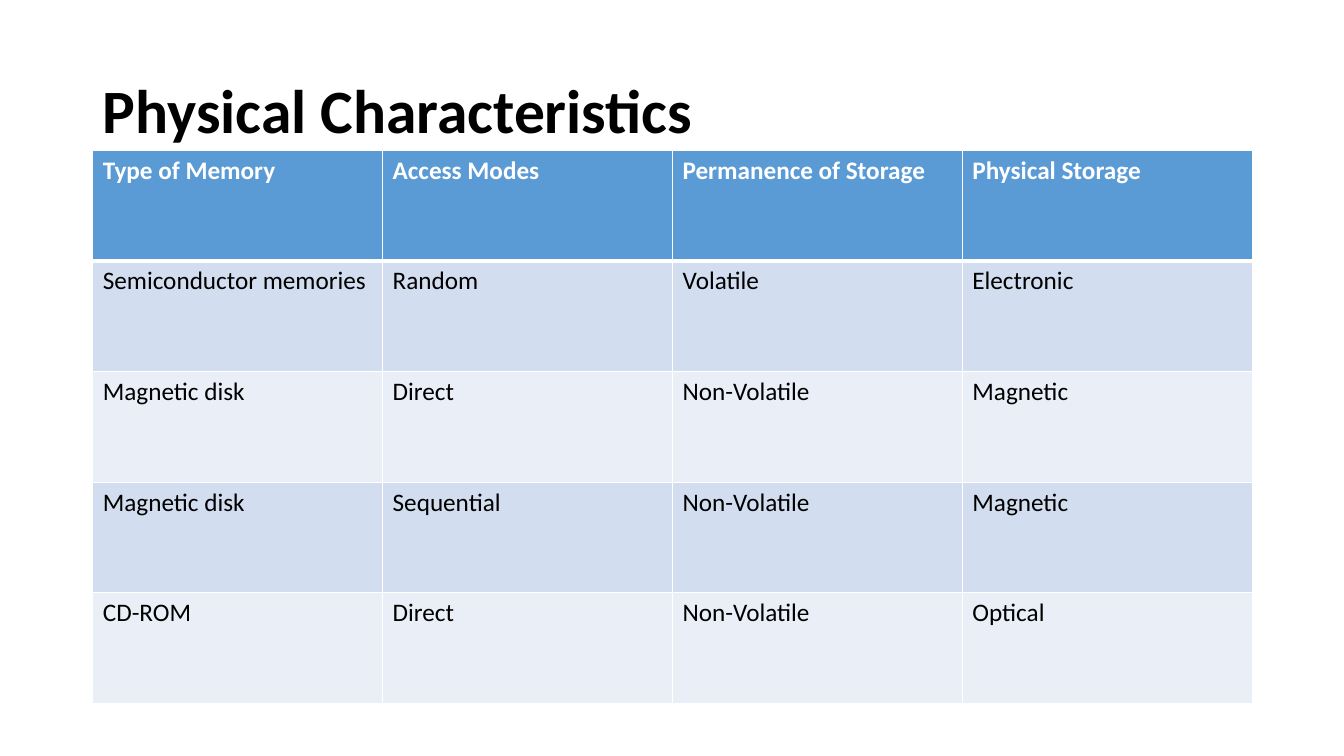
from dataclasses import dataclass

from lxml import etree
from pptx import Presentation
from pptx.dml.color import RGBColor
from pptx.enum.text import MSO_ANCHOR
from pptx.oxml.ns import qn
from pptx.slide import Slide
from pptx.table import _Cell
from pptx.text.text import _Paragraph
from pptx.util import Inches, Pt

MIDDLE = MSO_ANCHOR.MIDDLE


@dataclass(frozen=True)
class Theme:
    font: str = "Calibri"
    title_size: int = 44
    table_size: int = 18
    text: str = "000000"
    light: str = "FFFFFF"
    header_fill: str = "5B9BD5"
    band_fills: tuple[str, str] = ("D2DEEF", "EAEFF7")
    border: float = 1
    header_border: float = 3


@dataclass(frozen=True)
class Memory:
    kind: str
    access: str
    permanence: str
    storage: str

    def values(self) -> tuple[str, ...]:
        return self.kind, self.access, self.permanence, self.storage


THEME = Theme()
HEADER = Memory("Type of Memory", "Access Modes", "Permanence of Storage", "Physical Storage")
MEMORIES = [
    Memory("Semiconductor memories", "Random", "Volatile", "Electronic"),
    Memory("Magnetic disk", "Direct", "Non-Volatile", "Magnetic"),
    Memory("Magnetic disk", "Sequential", "Non-Volatile", "Magnetic"),
    Memory("CD-ROM", "Direct", "Non-Volatile", "Optical"),
]


def write(para: _Paragraph, text: str, size: int, color: str, bold: bool) -> None:
    span = para.add_run()
    span.text = text
    for name, value in {"name": THEME.font, "size": Pt(size), "bold": bold}.items():
        setattr(span.font, name, value)
    span.font.color.rgb = RGBColor.from_string(color)


def set_borders(cell: _Cell, top: float, bottom: float) -> None:
    """Draw the four cell edges; widths are in points."""
    properties = cell._tc.get_or_add_tcPr()
    widths = {"a:lnL": THEME.border, "a:lnR": THEME.border, "a:lnT": top, "a:lnB": bottom}
    for tag, width in widths.items():
        line = etree.SubElement(properties, qn(tag), w=str(Pt(width)))
        fill = etree.SubElement(line, qn("a:solidFill"))
        etree.SubElement(fill, qn("a:srgbClr"), val=THEME.light)


def add_title(page: Slide, text: str) -> None:
    box = page.shapes.add_textbox(Inches(0.92), Inches(0.4), Inches(11.5), Inches(1.45))
    frame = box.text_frame
    for name, value in {"word_wrap": True, "vertical_anchor": MIDDLE}.items():
        setattr(frame, name, value)
    para = frame.paragraphs[0]
    para.line_spacing = 0.9
    write(para, text, THEME.title_size, THEME.text, True)


def add_memory_table(page: Slide, rows: list[Memory]) -> None:
    """Draw the rows in equal heights, the first one as the header."""
    table = page.shapes.add_table(
        len(rows), len(rows[0].values()),
        Inches(0.92), Inches(1.49), Inches(11.5), Inches(5.49),
    ).table
    for row_index, memory in enumerate(rows):
        is_header = row_index == 0
        fill = THEME.header_fill if is_header else THEME.band_fills[(row_index - 1) % 2]
        color = THEME.light if is_header else THEME.text
        top = THEME.header_border if row_index == 1 else THEME.border
        bottom = THEME.header_border if is_header else THEME.border
        for column_index, text in enumerate(memory.values()):
            cell = table.cell(row_index, column_index)
            set_borders(cell, top, bottom)
            cell.fill.solid()
            cell.fill.fore_color.rgb = RGBColor.from_string(fill)
            write(cell.text_frame.paragraphs[0], text, THEME.table_size, color, is_header)


def main() -> None:
    deck = Presentation()
    deck.slide_width, deck.slide_height = Inches(13.33), Inches(7.5)
    page = deck.slides.add_slide(deck.slide_layouts[6])
    add_title(page, "Physical Characteristics")
    add_memory_table(page, [HEADER, *MEMORIES])
    deck.save("out.pptx")


if __name__ == "__main__":
    main()
